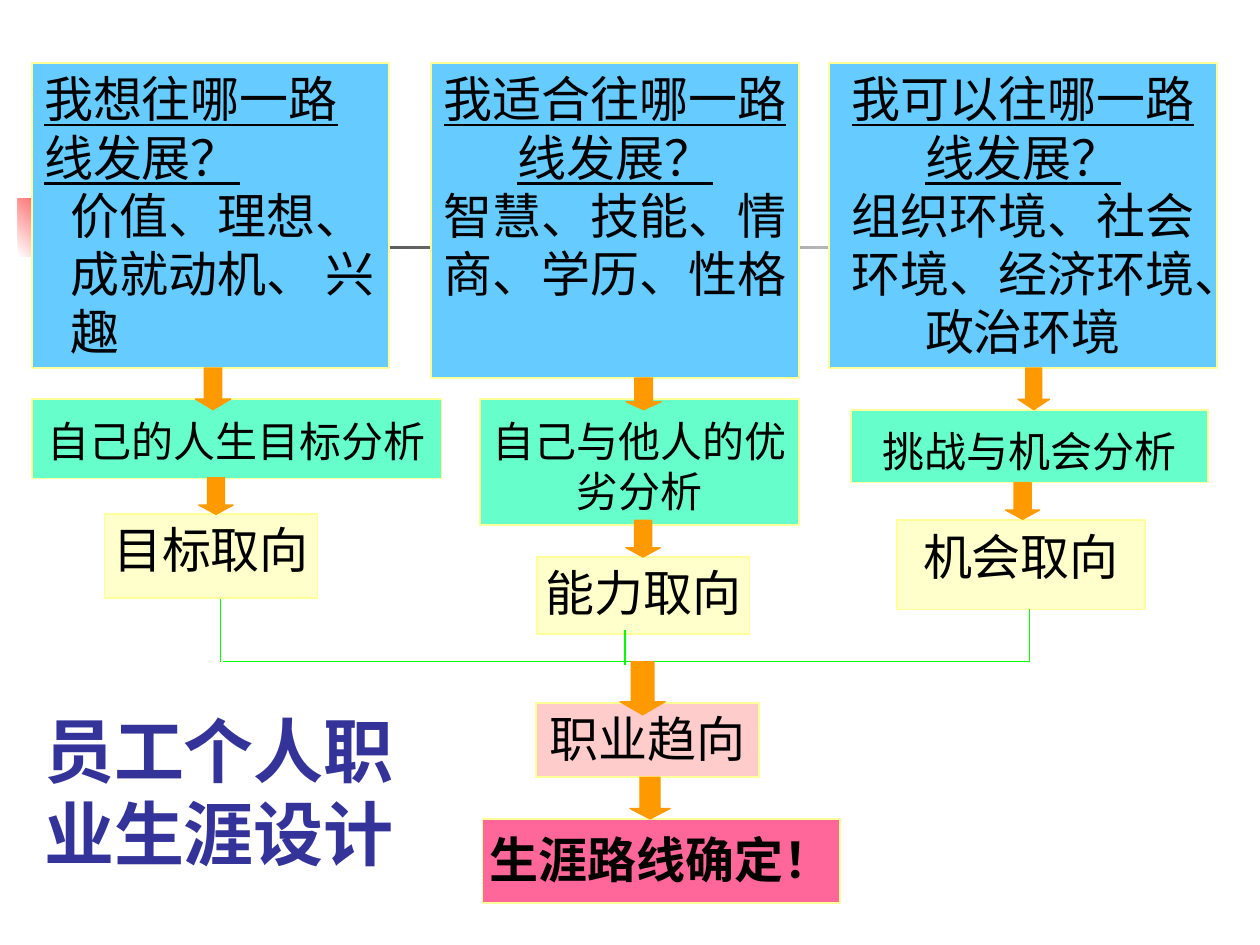
from lxml import etree
from pptx import Presentation
from pptx.dml.color import RGBColor
from pptx.enum.lang import MSO_LANGUAGE_ID
from pptx.enum.shapes import MSO_CONNECTOR, MSO_SHAPE
from pptx.enum.text import MSO_ANCHOR, MSO_AUTO_SIZE, PP_ALIGN
from pptx.oxml.ns import qn
from pptx.util import Cm, Pt

RECT, DOWN_ARROW = MSO_SHAPE.RECTANGLE, MSO_SHAPE.DOWN_ARROW
STRAIGHT = MSO_CONNECTOR.STRAIGHT
LEFT, CENTER = PP_ALIGN.LEFT, PP_ALIGN.CENTER
TOP, NO_AUTOFIT = MSO_ANCHOR.TOP, MSO_AUTO_SIZE.NONE
CHINESE = MSO_LANGUAGE_ID.SIMPLIFIED_CHINESE

LATIN, CJK = "Times New Roman", "Noto Sans CJK SC"
LINE_HEIGHT = 1.19  # line pitch as a multiple of the text size
COLORS = {
    "question": "66CCFF", "analysis": "66FFCC", "orientation": "FFFFCC",
    "trend": "FFCCCC", "decision": "FF6699", "border": "FFFF99",
    "arrow": "FF9900", "link": "00FF00", "text": "000000", "title": "333399",
    "white": "FFFFFF", "red": "FF0000", "dark": "1C1C1C",
}

# Content: position (left, top, width, height in cm), then wording
QUESTIONS = [
    ((0.64, 1.27, 7.2, 6.15), "我想往哪一路线发展？", "价值、理想、成就动机、 兴趣", LEFT, 0.53),
    ((8.69, 1.27, 7.42, 6.35), "我适合往哪一路线发展？", "智慧、技能、情商、学历、性格", CENTER, 0),
    ((16.71, 1.27, 7.82, 6.15), "我可以往哪一路线发展？", "组织环境、社会环境、经济环境、政治环境", CENTER, 0),
]
ANALYSES = [
    ((0.64, 8.05, 8.26, 1.6), "自己的人生目标分析"),
    ((9.68, 8.05, 6.43, 2.54), "自己与他人的优劣分析"),
    ((17.15, 8.26, 7.2, 1.47), "挑战与机会分析"),
]
ORIENTATIONS = [
    ((2.11, 10.36, 4.29, 1.7), "目标取向"),
    ((18.08, 10.49, 5, 1.8), "机会取向"),
    ((10.82, 11.23, 4.29, 1.55), "能力取向"),
]
ARROWS = [  # position, head length relative to the width
    ((3.94, 7.42, 0.71, 0.84), 0.3), ((12.62, 7.62, 0.71, 0.64), 0.25),
    ((20.52, 7.42, 0.64, 0.84), 0.33), ((4.01, 9.63, 0.69, 0.74), 0.27),
    ((12.62, 10.49, 0.69, 0.74), 0.27), ((20.27, 9.73, 0.69, 0.74), 0.27),
    ((12.5, 13.34, 0.91, 1.07), 0.29), ((12.7, 15.67, 0.81, 0.84), 0.26),
]
LINKS = [  # x1, y1, x2, y2
    (4.5, 13.34, 20.75, 13.34), (4.45, 12.07, 4.45, 13.34),
    (12.6, 12.7, 12.6, 13.41), (20.75, 12.27, 20.75, 13.34),
]


def color(name):
    return RGBColor.from_string(COLORS[name])


def add_run(paragraph, text, size, ink="text", latin=LATIN, bold=False, underline=False):
    paragraph.line_spacing = Pt(round(size * LINE_HEIGHT, 1))
    run = paragraph.add_run()
    run.text = text
    font = run.font
    font.size, font.name, font.bold, font.underline = Pt(size), latin, bold, underline
    font.color.rgb = color(ink)
    font.language_id = CHINESE
    east_asian = etree.Element(qn("a:ea"), typeface=CJK)
    run._r.rPr.find(qn("a:latin")).addnext(east_asian)


def set_frame(frame, wrap=True, top=0.13):
    frame.word_wrap = wrap
    frame.auto_size = NO_AUTOFIT
    frame.vertical_anchor = TOP
    frame.margin_left = frame.margin_right = Cm(0.25)
    frame.margin_top, frame.margin_bottom = Cm(top), Cm(0.13)


def add_filled(slide, preset, position, fill, border, width):
    shape = slide.shapes.add_shape(preset, *map(Cm, position))
    shape.shadow.inherit = False
    shape.fill.solid()
    shape.fill.fore_color.rgb = color(fill)
    shape.line.color.rgb = color(border)
    shape.line.width = Pt(width)
    return shape


def add_gradient(slide, position, start, end, angle):
    band = slide.shapes.add_shape(RECT, *map(Cm, position))
    band.shadow.inherit = False
    band.line.fill.background()
    band.fill.gradient()
    band.fill.gradient_angle = angle
    for stop, name, place in zip(band.fill.gradient_stops, (start, end), (0, 1)):
        stop.color.rgb = color(name)
        stop.position = place


def add_box(slide, position, fill, text, size=28, wrap=False, top=0.13, bold=False):
    box = add_filled(slide, RECT, position, fill, "border", 1)
    set_frame(box.text_frame, wrap, top)
    label = box.text_frame.paragraphs[0]
    label.alignment = CENTER
    add_run(label, text, size, bold=bold)


def add_question(slide, position, question, factors, alignment, indent):
    box = add_filled(slide, RECT, position, "question", "border", 1)
    set_frame(box.text_frame)
    heading = box.text_frame.paragraphs[0]
    details = box.text_frame.add_paragraph()
    heading.alignment = details.alignment = alignment
    add_run(heading, question, 28, underline=True)
    if indent:
        details._p.get_or_add_pPr().set("marL", str(Cm(indent)))
    add_run(details, factors, 28, latin=CJK)


def add_arrow(slide, position, head):
    arrow = add_filled(slide, DOWN_ARROW, position, "arrow", "arrow", 0.75)
    arrow.adjustments[0] = 0.5
    arrow.adjustments[1] = head


def add_link(slide, ends):
    link = slide.shapes.add_connector(STRAIGHT, *map(Cm, ends))
    link.line.color.rgb = color("link")
    link.line.width = Pt(0.75)
    etree.SubElement(link._element.spPr, qn("a:effectLst"))


def set_title(slide, text):
    title = slide.shapes.title
    title.left, title.top, title.width, title.height = map(Cm, (0.64, 14.15, 8.05, 3.66))
    set_frame(title.text_frame)
    heading = title.text_frame.paragraphs[0]
    heading.alignment = LEFT
    add_run(heading, text, 40, ink="title", bold=True)


def main():
    deck = Presentation()
    deck.slide_width, deck.slide_height = Cm(25.4), Cm(19.05)
    slide = deck.slides.add_slide(deck.slide_layouts[5])
    set_title(slide, "员工个人职业生涯设计")

    # Background accents
    add_gradient(slide, (0.36, 4.01, 1.55, 1.17), "white", "red", 45)
    add_gradient(slide, (1.22, 4.95, 22.86, 0.08), "dark", "white", 0)

    # Three columns: question, analysis, orientation
    for question in QUESTIONS:
        add_question(slide, *question)
    for position, text in ANALYSES:
        add_box(slide, position, "analysis", text, size=24, wrap=True, top=0.33)
    for position, text in ORIENTATIONS:
        add_box(slide, position, "orientation", text)

    # Conclusion
    add_box(slide, (10.8, 14.17, 4.5, 1.5), "trend", "职业趋向")
    add_box(slide, (9.73, 16.51, 7.2, 1.7), "decision", "生涯路线确定！", top=0.23, bold=True)

    # Links and arrows
    for ends in LINKS:
        add_link(slide, ends)
    for position, head in ARROWS:
        add_arrow(slide, position, head)

    deck.save("out.pptx")


if __name__ == "__main__":
    main()
